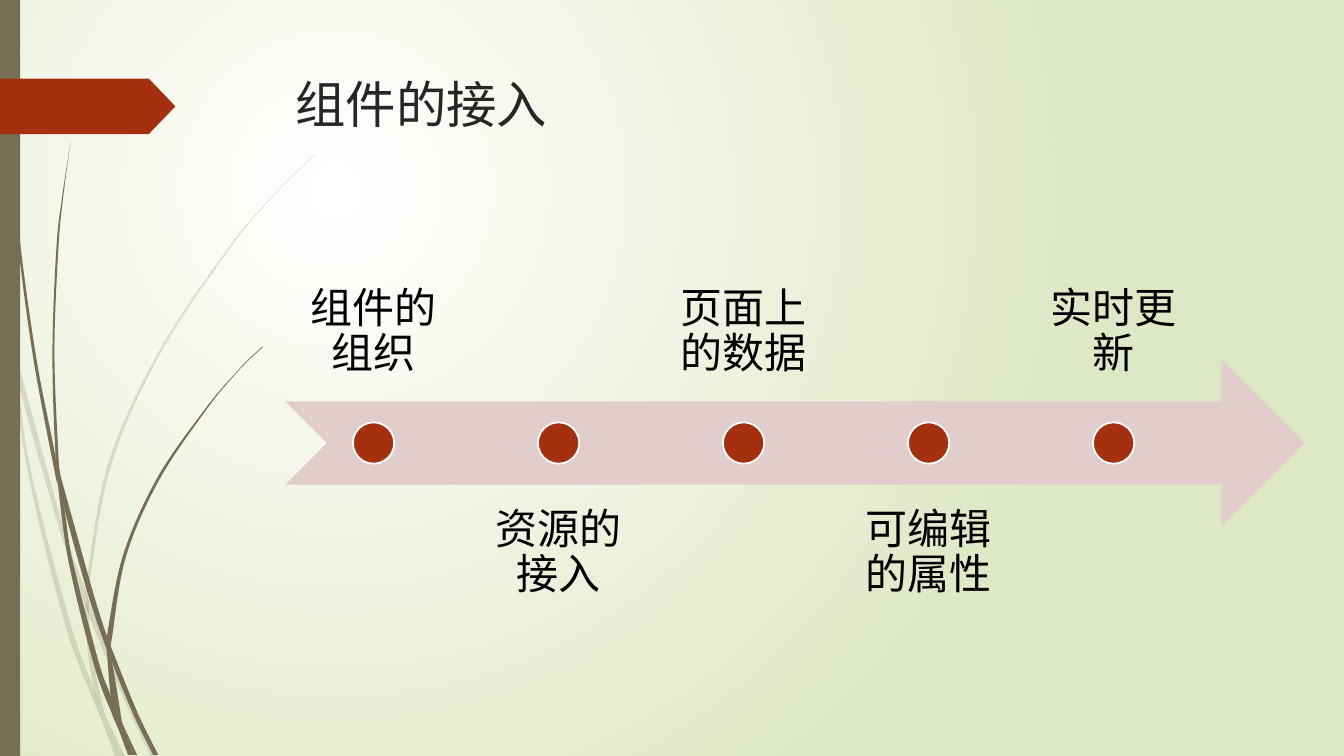
"""Build a timeline slide on integrating components, with grass stems at the left."""
from pptx import Presentation
from pptx.dml.color import RGBColor
from pptx.enum.shapes import MSO_SHAPE as Shape
from pptx.enum.text import MSO_ANCHOR as Anchor, PP_ALIGN as Align
from pptx.oxml import parse_xml
from pptx.oxml.ns import nsdecls, qn
from pptx.util import Inches, Pt

TITLE = "组件的接入"
STEPS = ["组件的组织", "资源的接入", "页面上的数据", "可编辑的属性", "实时更新"]
FONT = "League Spartan"
COLORS = {"centre": "FFFFFF", "edge": "DFE8C4", "stem": "766F54", "accent": "A53010",
          "arrow": "E1CDCC", "title": "262626", "label": "000000", "ring": "FFFFFF"}

WIDTH, HEIGHT = 13.33, 7.5
LEFT, ARROW_TOP, ARROW_WIDTH, BAND = 2.83, 3.57, 10.11, 1.65
STEP_PITCH, LABEL_WIDTH, DOT = 1.835, 1.75, 0.41
LABEL_GAP, LABEL_INSET = 0.41, 0.23

# Stem pieces as (left edge, right edge), each edge a list of points from top to bottom.
PALE_STEMS = [
    ([(0, 2.99), (0.1, 3.44), (0.11, 3.5)], [(0, 2.82), (0.09, 3.22), (0.11, 3.5)]),
    ([(0.14, 3.45), (0.17, 3.76), (0.58, 5.22), (0.84, 5.99)],
     [(0.14, 3.45), (0.62, 5.2), (0.85, 5.86)]),
    ([(0.88, 5.96), (0.88, 6.1), (1.23, 6.94), (1.5, 7.51)],
     [(0.88, 5.96), (0.92, 6.07), (1.27, 6.92), (1.55, 7.51)]),
    ([(1.05, 7.11), (1.19, 7.51)], [(1.05, 7.11), (1.24, 7.51)]),
    ([(0.11, 3.5), (0.28, 4.7), (0.65, 6.21), (0.92, 6.93), (1.01, 7.14)],
     [(0.11, 3.5), (0.17, 3.76), (0.31, 4.69), (0.7, 6.19), (0.93, 6.83), (0.99, 7.07)]),
    ([(0.84, 5.99), (0.87, 6.46), (0.93, 6.83), (0.96, 6.92), (1.05, 7.11)],
     [(0.84, 5.99), (0.88, 6.08), (0.91, 6.46), (1.03, 7.06)]),
    ([(3.12, 1.53), (2.89, 1.75), (2.68, 1.97), (2.28, 2.44), (1.58, 3.48), (1.07, 4.61),
      (0.85, 5.84), (0.85, 5.86)],
     [(3.12, 1.54), (2.9, 1.75), (2.68, 1.98), (2.29, 2.45), (1.6, 3.49), (1.1, 4.62),
      (0.88, 5.84), (0.88, 5.96)]),
    ([(1.01, 7.14), (1.14, 7.51)], [(1.01, 7.14), (1.19, 7.51)]),
    ([(0.85, 5.86), (0.84, 5.99), (0.88, 6.08)], [(0.85, 5.86), (0.88, 5.96), (0.88, 6.1)]),
    ([(0.93, 6.83), (0.99, 7.07), (1.01, 7.14), (1.19, 7.51)],
     [(0.93, 6.83), (0.96, 6.92), (1.05, 7.11), (1.19, 7.51)]),
]
DARK_STEMS = [
    ([(0.03, 0), (0.04, 0.48), (0.07, 1.1), (0.17, 2.33), (0.33, 3.55), (0.56, 4.77)],
     [(0.04, 0), (0.05, 0.48), (0.08, 1.09), (0.19, 2.32), (0.36, 3.55), (0.55, 4.53),
      (0.57, 4.81)]),
    ([(0.6, 4.72), (0.64, 5.05), (0.88, 5.92), (1.06, 6.45)],
     [(0.6, 4.72), (0.93, 5.9), (1.06, 6.31)]),
    ([(1.1, 6.41), (1.11, 6.56), (1.32, 7.08), (1.52, 7.49)],
     [(1.1, 6.41), (1.13, 6.49), (1.36, 7.06), (1.57, 7.49)]),
    ([(0.57, 4.77), (0.68, 5.57), (0.93, 6.59), (1.11, 7.08), (1.17, 7.22)],
     [(0.57, 4.77), (0.64, 5.05), (0.72, 5.56), (0.98, 6.57), (1.1, 6.91), (1.16, 7.17)]),
    ([(0.7, 1.41), (0.62, 1.93), (0.56, 2.45), (0.52, 3.49), (0.55, 4.49), (0.6, 4.72)],
     [(0.7, 1.41), (0.63, 1.93), (0.58, 2.45), (0.54, 3.49), (0.58, 4.53), (0.6, 4.72)]),
    ([(1.22, 7.19), (1.33, 7.49)], [(1.22, 7.19), (1.36, 7.49)]),
    ([(0.55, 4.49), (0.55, 4.53), (0.57, 4.77)], [(0.55, 4.49), (0.6, 4.72), (0.64, 5.05)]),
    ([(2.6, 3.44), (2.45, 3.58), (2.31, 3.73), (2.04, 4.05), (1.56, 4.74), (1.22, 5.51),
      (1.06, 6.31)],
     [(2.61, 3.44), (2.45, 3.59), (2.31, 3.74), (2.05, 4.06), (1.58, 4.76), (1.25, 5.52),
      (1.11, 6.33), (1.1, 6.41)]),
    ([(1.17, 7.22), (1.27, 7.49)], [(1.17, 7.22), (1.31, 7.49)]),
    ([(1.06, 6.45), (1.1, 6.91), (1.16, 7.06), (1.22, 7.19)],
     [(1.06, 6.45), (1.11, 6.56), (1.21, 7.16)]),
    ([(1.06, 6.31), (1.06, 6.45), (1.09, 6.51)], [(1.06, 6.31), (1.1, 6.41), (1.11, 6.56)]),
    ([(1.1, 6.91), (1.16, 7.17), (1.17, 7.22), (1.3, 7.49)],
     [(1.1, 6.91), (1.16, 7.06), (1.22, 7.19), (1.33, 7.49)]),
]


def color(name):
    return RGBColor.from_string(COLORS[name])


def curve_points(points):
    """Return two control points and an end point for each span of a smooth edge."""
    padded = [points[0], *points, points[-1]]
    curve = []
    for a, b, c, d in zip(padded, padded[1:], padded[2:], padded[3:]):
        curve += [tuple(q + (r - p) / 6 for p, q, r in zip(a, b, c)),
                  tuple(r - (s - q) / 6 for q, r, s in zip(b, c, d)), c]
    return curve


def paint(shape, fill, line=None):
    shape.shadow.inherit = False
    shape.fill.solid()
    shape.fill.fore_color.rgb = color(fill)
    if line:
        shape.line.color.rgb = color(line)
        shape.line.width = Pt(1.25)
    else:
        shape.line.fill.background()


def add_shape(slide, kind, box, fill, line=None):
    shape = slide.shapes.add_shape(kind, *map(Inches, box))
    paint(shape, fill, line)
    return shape


def add_text(slide, box, text, size, name):
    frame = slide.shapes.add_textbox(*map(Inches, box)).text_frame
    frame.word_wrap = True
    paragraph = frame.paragraphs[0]
    paragraph.text = text
    paragraph.font.name = FONT
    paragraph.font.size = Pt(size)
    paragraph.font.color.rgb = color(name)
    return frame


def add_background(slide):
    fill = slide.background.fill
    fill.gradient()
    for stop, name in zip(fill.gradient_stops, ("centre", "edge")):
        stop.color.rgb = color(name)
    linear = slide.element.find(".//" + qn("a:lin"))
    linear.getparent().replace(linear, parse_xml(
        f'<a:path {nsdecls("a")} path="circle">'
        '<a:fillToRect l="50000" t="50000" r="100000" b="100000"/></a:path>'))


def bend(segments):
    """Merge each three straight segments into one cubic curve."""
    for index in range(0, len(segments), 3):
        first, second, last = segments[index:index + 3]
        curve = parse_xml(f'<a:cubicBezTo {nsdecls("a")}/>')
        first.addprevious(curve)
        for segment in (first, second, last):
            curve.append(segment[0])
            segment.getparent().remove(segment)


def add_stem(slide, left_edge, right_edge, opacity):
    down, up = curve_points(left_edge), curve_points(right_edge[::-1])
    outline = [left_edge[0], *down, right_edge[-1], *up]
    vertices = [(Inches(x), Inches(y)) for x, y in outline]
    builder = slide.shapes.build_freeform(*vertices[0])
    builder.add_line_segments(vertices[1:], close=True)
    stem = builder.convert_to_shape()
    paint(stem, "stem")
    segments = list(stem.element.iter(qn("a:lnTo")))
    bend(segments[:len(down)])
    bend(segments[len(down) + 1:])
    if opacity < 100:
        stem.element.spPr.find(".//" + qn("a:srgbClr")).append(
            parse_xml(f'<a:alpha {nsdecls("a")} val="{opacity * 1000}"/>'))


def add_step(slide, index, text):
    left = LEFT + index * STEP_PITCH
    below = index % 2
    top = ARROW_TOP + BAND - LABEL_GAP if below else ARROW_TOP - BAND + LABEL_GAP
    frame = add_text(slide, (left, top, LABEL_WIDTH, BAND), text, 30, "label")
    frame.vertical_anchor = Anchor.TOP if below else Anchor.BOTTOM
    frame.margin_left = frame.margin_right = Inches(LABEL_INSET)
    frame.margin_top = frame.margin_bottom = Inches(LABEL_INSET)
    frame.paragraphs[0].alignment = Align.CENTER
    frame.paragraphs[0].line_spacing = 0.9
    dot_box = (left + (LABEL_WIDTH - DOT) / 2, ARROW_TOP + (BAND - DOT) / 2, DOT, DOT)
    add_shape(slide, Shape.OVAL, dot_box, "accent", "ring")


def main():
    presentation = Presentation()
    presentation.slide_width, presentation.slide_height = Inches(WIDTH), Inches(HEIGHT)
    slide = presentation.slides.add_slide(presentation.slide_layouts[6])
    add_background(slide)
    for stems, opacity in ((PALE_STEMS, 20), (DARK_STEMS, 100)):
        for left_edge, right_edge in stems:
            add_stem(slide, left_edge, right_edge, opacity)
    add_shape(slide, Shape.RECTANGLE, (0, 0, 0.2, HEIGHT), "stem")
    tag = add_shape(slide, Shape.PENTAGON, (0, 0.78, 1.74, 0.55), "accent")
    tag.adjustments[0] = 0.48
    add_text(slide, (LEFT, 0.68, 9.75, 1.4), TITLE, 36, "title")
    add_shape(slide, Shape.NOTCHED_RIGHT_ARROW, (LEFT, ARROW_TOP, ARROW_WIDTH, BAND), "arrow")
    for index, text in enumerate(STEPS):
        add_step(slide, index, text)
    presentation.save("out.pptx")


if __name__ == "__main__":
    main()
